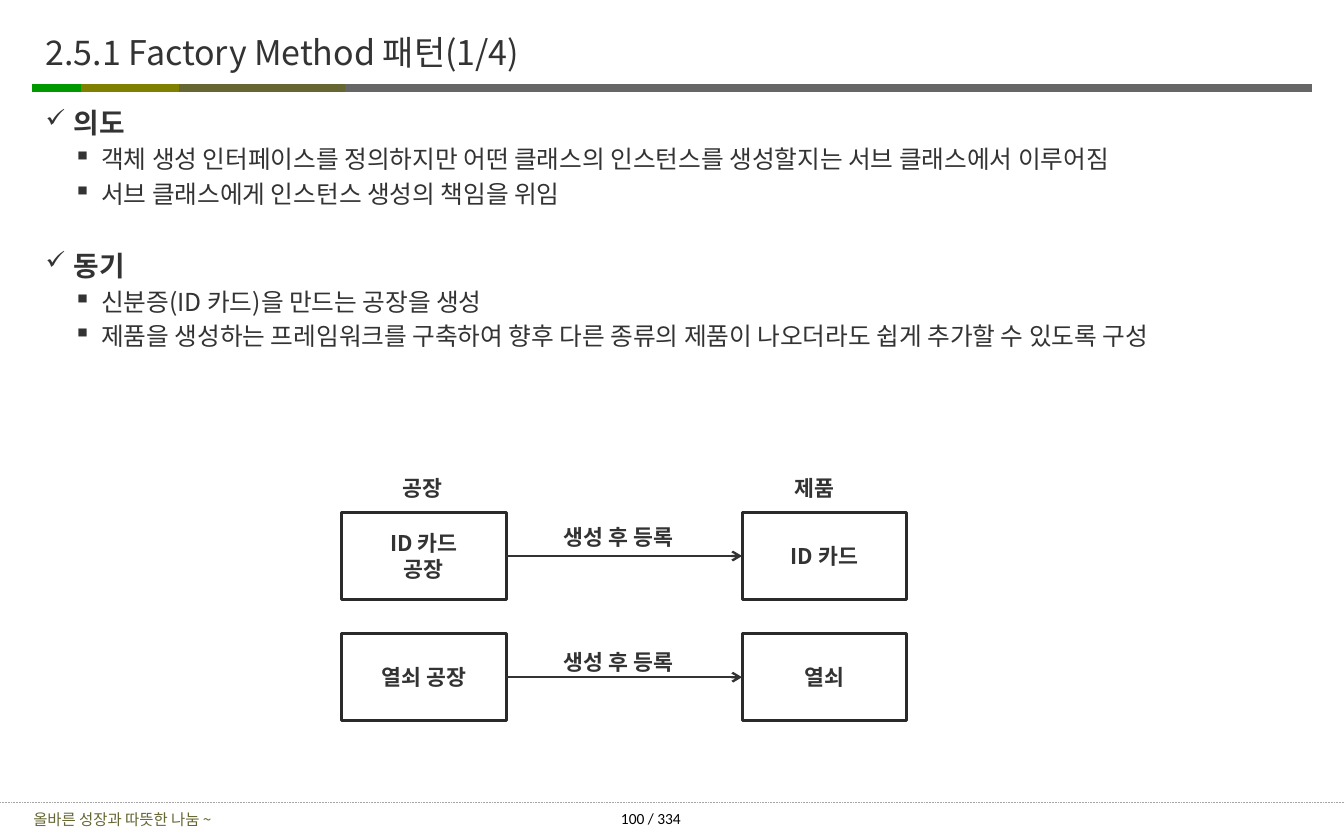
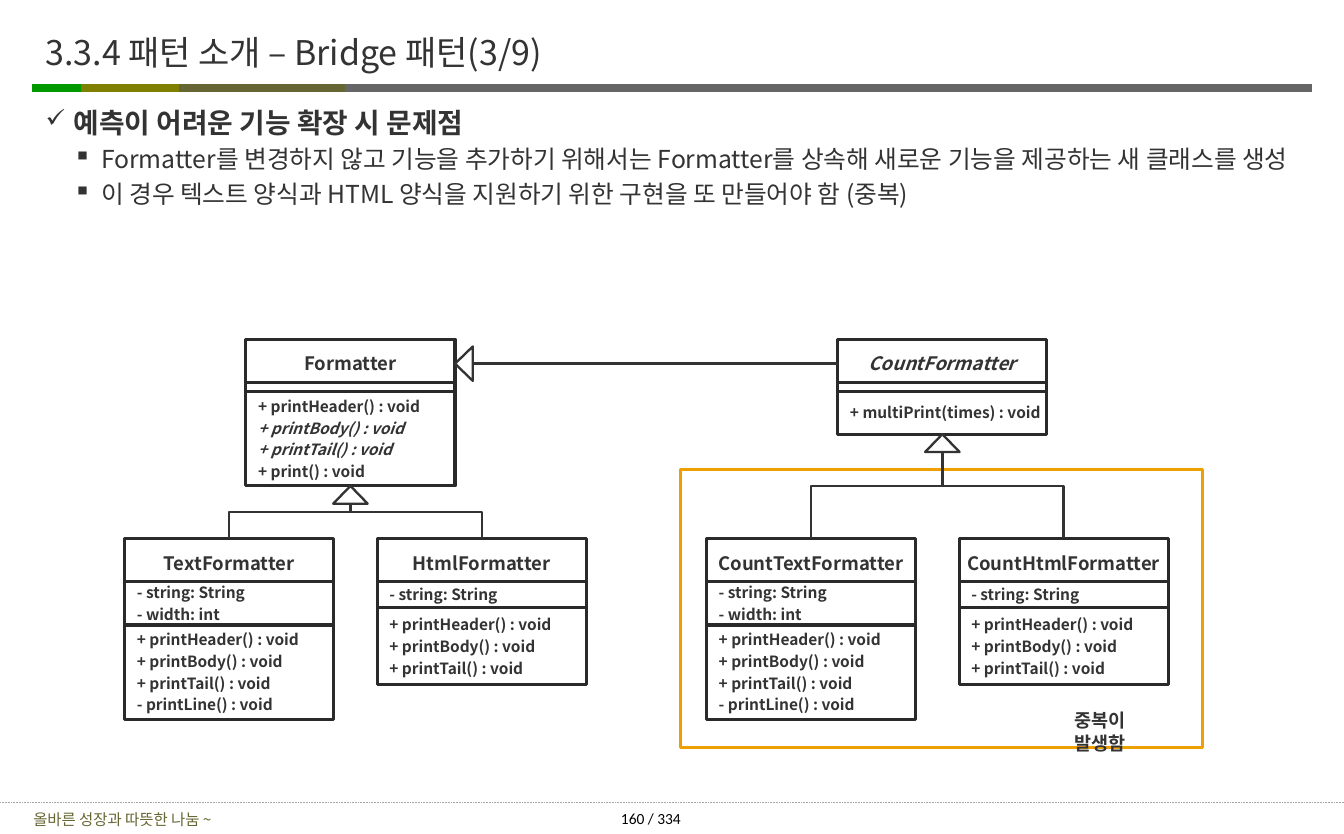
import lxml.etree
import pptx
import pptx.dml.color
import pptx.enum.dml
import pptx.enum.shapes
import pptx.enum.text
import pptx.oxml.ns
import pptx.util

ALIGN = pptx.enum.text.PP_ALIGN
ANCHOR = pptx.enum.text.MSO_ANCHOR
SHAPE = pptx.enum.shapes.MSO_SHAPE
TITLE_ONLY = 5

WIDTH, HEIGHT = 12.08, 7.5
FONT = "Noto Sans CJK KR"
COLORS = {
    "white": "FFFFFF", "black": "000000", "text": "333333", "outline": "2A2A2A",
    "gray": "666666", "green": "009900", "olive": "808000", "moss": "666633",
    "dots": "A6A6A6", "highlight": "EFA001",
}
BAND_Y, FOOTER_Y = 0.79, 7.22
BAND = [("gray", 2.98, 11.79), ("green", 0.29, 1.09),
        ("olive", 0.73, 1.66), ("moss", 1.61, 3.1)]
MARGIN = 0.37
SLIM_INSETS = (0.04, 0.04)

# Factory diagram grid
FACTORY_COLUMNS = (3.07, 6.67)
FACTORY_ROWS = (4.61, 5.7)
FACTORY_SIZE = (1.48, 0.78)

# Class diagram grid
CLASS_WIDTH, NAME_HEIGHT, NAME_STEP = 1.88, 0.44, 0.39
LINE_HEIGHT, ATTRIBUTE_PAD, METHOD_PAD = 0.155, 0.08, 0.23
PARENT_TOP, CHILD_TOP = 3.05, 4.84
CHILD_PITCH = 2.27
TRIANGLE = (0.31, 0.16)


def inches(*values):
    return [pptx.util.Inches(value) for value in values]


def rgb(name):
    return pptx.dml.color.RGBColor.from_string(COLORS[name])


def add_xml(parent, tag, **attributes):
    return lxml.etree.SubElement(parent, pptx.oxml.ns.qn(tag), attributes)


def format_paragraph(paragraph, size, color="text", bold=False, italic=False, font=FONT):
    for run in paragraph.runs:
        run.font.size = pptx.util.Pt(size)
        run.font.bold = bold
        run.font.italic = italic
        run.font.name = font
        run.font.color.rgb = rgb(color)
        add_xml(run._r.get_or_add_rPr(), "a:ea", typeface=FONT)


def set_frame(text_frame, insets=(0.1, 0.05), anchor=ANCHOR.MIDDLE, wrap=True):
    text_frame.auto_size = pptx.enum.text.MSO_AUTO_SIZE.NONE
    text_frame.word_wrap = wrap
    text_frame.vertical_anchor = anchor
    text_frame.margin_left = text_frame.margin_right = pptx.util.Inches(insets[0])
    text_frame.margin_top = text_frame.margin_bottom = pptx.util.Inches(insets[1])


def add_label(slide, text, left, top, width, height, size, align=ALIGN.CENTER,
              anchor=ANCHOR.MIDDLE, **style):
    box = slide.shapes.add_textbox(*inches(left, top, width, height))
    set_frame(box.text_frame, anchor=anchor)
    box.text_frame.text = text
    paragraph = box.text_frame.paragraphs[0]
    paragraph.alignment = align
    format_paragraph(paragraph, size, **style)


def add_outline(slide, kind, left, top, width, height, fill="white",
                line="outline", weight=2):
    shape = slide.shapes.add_shape(kind, *inches(left, top, width, height))
    shape.shadow.inherit = False
    if fill:
        shape.fill.solid()
        shape.fill.fore_color.rgb = rgb(fill)
    else:
        shape.fill.background()
    shape.line.color.rgb = rgb(line)
    shape.line.width = pptx.util.Pt(weight)
    return shape


def add_box(slide, lines, left, top, width, height, size, align=ALIGN.CENTER,
            gap=0, italic_lines=()):
    """Draw a white rectangle holding bold lines of text."""
    shape = add_outline(slide, SHAPE.RECTANGLE, left, top, width, height)
    set_frame(shape.text_frame, insets=(0.11, 0.05), wrap=False)
    shape.text_frame.text = "\n".join(lines)
    for index, paragraph in enumerate(shape.text_frame.paragraphs):
        paragraph.alignment = align
        paragraph.space_before = pptx.util.Pt(gap if index else 0)
        format_paragraph(paragraph, size, bold=True, italic=paragraph.text in italic_lines)


def add_line(slide, start, end, color="text", weight=1.5, elbow=False,
             arrow=False, dotted=False):
    types = pptx.enum.shapes.MSO_CONNECTOR
    connector = slide.shapes.add_connector(
        types.ELBOW if elbow else types.STRAIGHT, *inches(*start, *end))
    connector.line.color.rgb = rgb(color)
    connector.line.width = pptx.util.Pt(weight)
    if dotted:
        connector.line.dash_style = pptx.enum.dml.MSO_LINE.ROUND_DOT
    properties = connector.element.spPr
    if arrow:
        add_xml(properties.find(pptx.oxml.ns.qn("a:ln")), "a:tailEnd", type="arrow")
    add_xml(properties, "a:effectLst")
    return connector


def add_upward_elbow(slide, start, end):
    """Join two points by an elbow that leaves and arrives vertically."""
    center_x, center_y = (start[0] + end[0]) / 2, (start[1] + end[1]) / 2
    half_x, half_y = abs(end[0] - start[0]) / 2, (start[1] - end[1]) / 2
    side = 1 if end[0] > start[0] else -1
    connector = add_line(slide, (center_x + side * half_y, center_y + half_x),
                         (center_x - side * half_y, center_y - half_x), elbow=True)
    degrees = 90 if side > 0 else 270
    transform = connector.element.spPr.find(pptx.oxml.ns.qn("a:xfrm"))
    transform.set("rot", str(degrees * 60000))


def add_triangle(slide, center_x, center_y, rotation=0):
    width, height = TRIANGLE
    shape = add_outline(slide, SHAPE.ISOSCELES_TRIANGLE, center_x - width / 2,
                        center_y - height / 2, width, height, line="text", weight=1.5)
    shape.rotation = rotation


def add_bullets(slide, sections, height):
    """Write (heading, points) sections as a two-level check list."""
    box = slide.shapes.add_textbox(*inches(MARGIN, 0.91, 11.5, height))
    frame = box.text_frame
    set_frame(frame, SLIM_INSETS, ANCHOR.TOP)
    rows = [(level, text) for heading, points in sections
            for level, text in [(0, heading)] + [(1, point) for point in points]]
    frame.text = "\n".join(text for _, text in rows)
    for index, (paragraph, (level, _)) in enumerate(zip(frame.paragraphs, rows)):
        paragraph.level = level
        later_gap = 3.2 if level else 26
        paragraph.space_before = pptx.util.Pt(later_gap if index else 0)
        properties = paragraph._p.get_or_add_pPr()
        indent = pptx.util.Inches(0.25)
        properties.set("marL", str(indent * (level + 1)))
        properties.set("indent", str(-indent))
        add_xml(add_xml(properties, "a:buClr"), "a:srgbClr", val=COLORS["text"])
        add_xml(properties, "a:buSzPct", val="100000" if level else "90000")
        add_xml(properties, "a:buChar", char="▪" if level else "✓")
        format_paragraph(paragraph, 16 if level else 18, bold=level == 0)


def add_content_slide(presentation, title, page):
    slide = presentation.slides.add_slide(presentation.slide_layouts[TITLE_ONLY])
    for color, start, end in BAND:
        add_line(slide, (start, BAND_Y), (end, BAND_Y), color, 5)
    add_line(slide, (0, FOOTER_Y), (WIDTH, FOOTER_Y), "dots", 0.5, dotted=True)
    add_label(slide, "올바른 성장과 따뜻한 나눔 ~", 0, 7.24, 2.2, 0.26, 10, color="moss")
    add_label(slide, f"{page} / 334", 5.25, FOOTER_Y, 1.2, 0.27, 10,
              color="black", font="Calibri")
    heading = slide.shapes.title
    heading.left, heading.top, heading.width, heading.height = inches(MARGIN, 0.15, 10, 0.63)
    set_frame(heading.text_frame, SLIM_INSETS)
    heading.text_frame.text = title
    paragraph = heading.text_frame.paragraphs[0]
    paragraph.alignment = ALIGN.LEFT
    format_paragraph(paragraph, 22)
    return slide


def add_class(slide, left, top, name, attributes, methods, abstract=()):
    """Draw a class in three compartments and return its bottom edge."""
    add_box(slide, [name], left, top, CLASS_WIDTH, NAME_HEIGHT, 12, italic_lines=abstract)
    top += NAME_STEP
    for lines, pad in ((attributes, ATTRIBUTE_PAD), (methods, METHOD_PAD)):
        height = pad + LINE_HEIGHT * len(lines)
        add_box(slide, lines, left, top, CLASS_WIDTH, height, 10, ALIGN.LEFT, 2, abstract)
        top += height
    return top


def add_hierarchy(slide, parent, parent_left, children_left, prefix):
    """Draw a parent class over its text and HTML subclasses."""
    bottom = add_class(slide, parent_left, PARENT_TOP, *parent)
    parent_x = parent_left + CLASS_WIDTH / 2
    methods = ["+ printHeader() : void", "+ printBody() : void", "+ printTail() : void"]
    children = [
        ("TextFormatter", ["- string: String", "- width: int"],
         methods + ["- printLine() : void"]),
        ("HtmlFormatter", ["- string: String"], methods),
    ]
    for index, (name, attributes, child_methods) in enumerate(children):
        left = children_left + index * CHILD_PITCH
        add_class(slide, left, CHILD_TOP, prefix + name, attributes, child_methods)
        add_upward_elbow(slide, (left + CLASS_WIDTH / 2, CHILD_TOP), (parent_x, bottom))
    add_triangle(slide, parent_x, bottom + TRIANGLE[1] / 2)


def build_factory_slide(presentation):
    slide = add_content_slide(presentation, "2.5.1 Factory Method 패턴(1/4)", 100)
    add_bullets(slide, [
        ("의도", ["객체 생성 인터페이스를 정의하지만 어떤 클래스의 인스턴스를 생성할지는 서브 클래스에서 이루어짐",
                "서브 클래스에게 인스턴스 생성의 책임을 위임"]),
        ("동기", ["신분증(ID 카드)을 만드는 공장을 생성",
                "제품을 생성하는 프레임워크를 구축하여 향후 다른 종류의 제품이 나오더라도 쉽게 추가할 수 있도록 구성"]),
    ], 2.36)
    width, height = FACTORY_SIZE
    rows = [(["ID 카드", "공장"], ["ID 카드"]), (["열쇠 공장"], ["열쇠"])]
    arrow_start, arrow_end = FACTORY_COLUMNS[0] + width, FACTORY_COLUMNS[1]
    for top, cells, label_top in zip(FACTORY_ROWS, rows, (4.66, 5.78)):
        for left, lines in zip(FACTORY_COLUMNS, cells):
            add_box(slide, lines, left, top, width, height, 14)
        middle = top + height / 2
        add_line(slide, (arrow_start, middle), (arrow_end, middle), arrow=True)
        add_label(slide, "생성 후 등록", 4.81, label_top, 1.5, 0.34, 14, bold=True, font="Lato")
    for text, left in (("공장", 3.3), ("제품", 6.82)):
        add_label(slide, text, left, 4.22, 1, 0.34, 14, bold=True, font="Lato")


def build_bridge_slide(presentation):
    slide = add_content_slide(presentation, "3.3.4 패턴 소개 – Bridge 패턴(3/9)", 160)
    add_bullets(slide, [
        ("예측이 어려운 기능 확장 시 문제점",
         ["Formatter를 변경하지 않고 기능을 추가하기 위해서는 Formatter를 상속해 새로운 기능을 제공하는 새 클래스를 생성",
          "이 경우 텍스트 양식과 HTML 양식을 지원하기 위한 구현을 또 만들어야 함 (중복)"]),
    ], 1.23)
    abstract = ["+ printBody() : void", "+ printTail() : void"]
    formatter = ("Formatter", [], ["+ printHeader() : void", *abstract,
                                   "+ print() : void"], abstract)
    counter = ("CountFormatter", [], ["+ multiPrint(times) : void"], ["CountFormatter"])
    formatter_left, counter_left = 2.21, 7.53
    add_hierarchy(slide, formatter, formatter_left, 1.12, "")
    add_outline(slide, SHAPE.RECTANGLE, 6.12, 4.22, 4.69, 2.5, fill=None, line="highlight")
    add_hierarchy(slide, counter, counter_left, 6.35, "Count")
    formatter_right, link_y = formatter_left + CLASS_WIDTH, PARENT_TOP + NAME_HEIGHT / 2
    add_line(slide, (counter_left, link_y), (formatter_right, link_y))
    add_triangle(slide, formatter_right + TRIANGLE[1] / 2, link_y, rotation=270)
    add_label(slide, "중복이 발생함", 9.56, 6.33, 1, 0.3, 12, ALIGN.LEFT, ANCHOR.TOP, bold=True)


def main():
    presentation = pptx.Presentation()
    presentation.slide_width, presentation.slide_height = inches(WIDTH, HEIGHT)
    build_factory_slide(presentation)
    build_bridge_slide(presentation)
    presentation.save("out.pptx")


if __name__ == "__main__":
    main()
